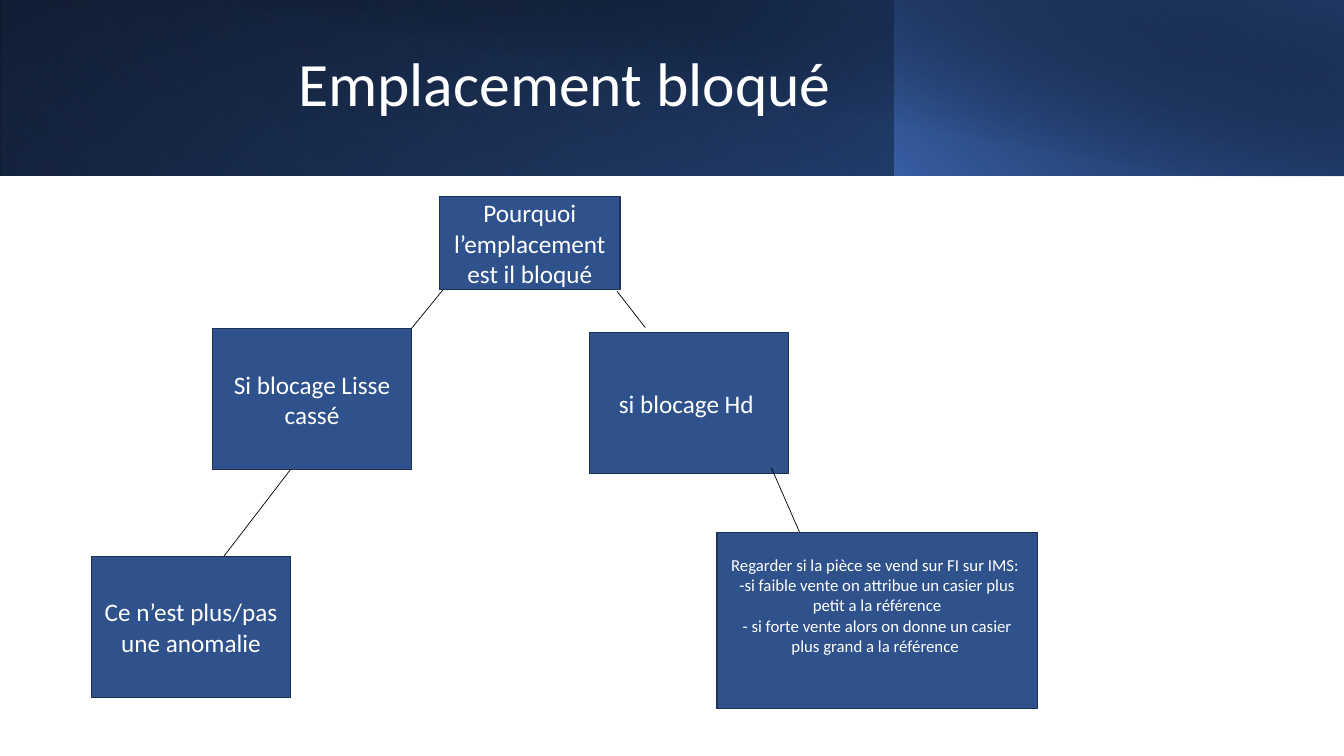
from lxml import etree
from pptx import Presentation
from pptx.dml.color import RGBColor
from pptx.enum.shapes import MSO_CONNECTOR, MSO_SHAPE
from pptx.enum.text import MSO_ANCHOR, PP_ALIGN
from pptx.oxml import parse_xml
from pptx.oxml.ns import nsdecls, qn
from pptx.util import Inches, Pt

RECTANGLE = MSO_SHAPE.RECTANGLE
STRAIGHT = MSO_CONNECTOR.STRAIGHT
MIDDLE = MSO_ANCHOR.MIDDLE
CENTER = PP_ALIGN.CENTER
LEFT = PP_ALIGN.LEFT

WHITE = RGBColor(0xFF, 0xFF, 0xFF)
BLACK = RGBColor(0x00, 0x00, 0x00)
BOX_FILL = RGBColor(0x2F, 0x52, 0x8D)
BOX_BORDER = RGBColor(0x1E, 0x32, 0x56)
BAND_BLUE = RGBColor(0x2F, 0x55, 0x97)
ACCENT_BLUE = RGBColor(0x44, 0x72, 0xC4)
NAVY = RGBColor(0x20, 0x38, 0x64)

FRAME_FORMAT = {"word_wrap": True, "vertical_anchor": MIDDLE}
FONT_FORMAT = {"name": "Calibri"}

# left, top, width, height, rotation, flipped, angle, (position, colour, opacity) stops
BANDS = [
    (0, 0, 13.33, 1.74, 0, True, 140, [(0, BLACK, 100), (100, BAND_BLUE, 100)]),
    (0, 0, 8.88, 1.74, 180, True, 230, [(20, ACCENT_BLUE, 0), (100, NAVY, 55)]),
    (8.87, 0, 4.46, 1.74, 0, True, 220, [(0, ACCENT_BLUE, 66), (100, BLACK, 30)]),
    (0.5, 0, 12.83, 1.75, 0, False, 280, [(50, BLACK, 0), (99, NAVY, 52)]),
]
ADVICE = [
    "Regarder si la pièce se vend sur FI sur IMS: ",
    "-si faible vente on attribue un casier plus petit a la référence",
    "- si forte vente alors on donne un casier plus grand a la référence ",
]
ANSWERS = [
    (5.85, 3.3, "si blocage Hd "),
    (2.11, 3.26, "Si blocage Lisse cassé"),
    (0.91, 5.52, "Ce n’est plus/pas une anomalie"),
]
BRANCHES = [
    (4.39, 2.88, 4.08, 3.26),
    (6.4, 3.25, 6.12, 2.89),
    (2.88, 4.66, 2.22, 5.52),
    (7.93, 5.28, 7.65, 4.64),
]


def apply_format(target, values):
    """Set each named attribute of the target."""
    for name, value in values.items():
        setattr(target, name, value)


def write_text(shape, lines, size, alignment, **paragraph_format):
    """Write one paragraph per line in the shape."""
    frame = shape.text_frame
    apply_format(frame, FRAME_FORMAT)
    frame.text = "\n".join(lines)
    for paragraph in frame.paragraphs:
        apply_format(paragraph, {"alignment": alignment, **paragraph_format})
        apply_format(paragraph.font, {**FONT_FORMAT, "size": Pt(size)})
        paragraph.font.color.rgb = WHITE


def add_rectangle(slide, left, top, width, height):
    """Add a rectangle without shadow."""
    shape = slide.shapes.add_shape(
        RECTANGLE, Inches(left), Inches(top), Inches(width), Inches(height)
    )
    shape.shadow.inherit = False
    return shape


def add_band(slide, left, top, width, height, rotation, flipped, angle, stops):
    """Add a gradient layer of the header."""
    shape = add_rectangle(slide, left, top, width, height)
    shape.rotation = rotation
    shape.line.fill.background()
    shape.fill.background()
    properties = shape.element.spPr
    if flipped:
        properties.find(qn("a:xfrm")).set("flipH", "1")
    stop_xml = "".join(
        f'<a:gs pos="{position * 1000}"><a:srgbClr val="{color}">'
        f'<a:alpha val="{opacity * 1000}"/></a:srgbClr></a:gs>'
        for position, color, opacity in stops
    )
    gradient = parse_xml(
        f'<a:gradFill {nsdecls("a")} rotWithShape="1"><a:gsLst>{stop_xml}</a:gsLst>'
        f'<a:lin ang="{angle * 60000}" scaled="0"/></a:gradFill>'
    )
    properties.replace(properties.find(qn("a:noFill")), gradient)


def add_title(slide, text):
    """Add the slide title over the header."""
    title = slide.shapes.add_textbox(Inches(2.86), Inches(0.13), Inches(11.5), Inches(1.45))
    write_text(title, [text], 44, LEFT, line_spacing=0.9)


def add_box(slide, left, top, width, height, lines, size=18):
    """Add a box of the decision tree."""
    box = add_rectangle(slide, left, top, width, height)
    box.fill.solid()
    box.fill.fore_color.rgb = BOX_FILL
    box.line.color.rgb = BOX_BORDER
    box.line.width = Pt(1)
    write_text(box, lines, size, CENTER)
    return box


def add_branch(slide, *ends):
    """Add a thin line between two boxes."""
    branch = slide.shapes.add_connector(STRAIGHT, *map(Inches, ends))
    branch.line.color.rgb = BLACK
    branch.line.width = Pt(0.5)
    etree.SubElement(branch.element.spPr, qn("a:effectLst"))


def main():
    """Build and save the slide."""
    presentation = Presentation()
    apply_format(presentation, {"slide_width": Inches(13.33), "slide_height": Inches(7.5)})
    slide = presentation.slides.add_slide(presentation.slide_layouts[6])
    for band in BANDS:
        add_band(slide, *band)
    add_title(slide, "Emplacement bloqué")
    advice = add_box(slide, 7.11, 5.28, 3.18, 1.75, ADVICE, 12)
    advice.text_frame.margin_bottom = Inches(0.35)
    for left, top, text in ANSWERS:
        add_box(slide, left, top, 1.97, 1.4, [text])
    for ends in BRANCHES:
        add_branch(slide, *ends)
    add_box(slide, 4.36, 1.95, 1.79, 0.92, ["Pourquoi l’emplacement est il bloqué"])
    presentation.save("out.pptx")


if __name__ == "__main__":
    main()
